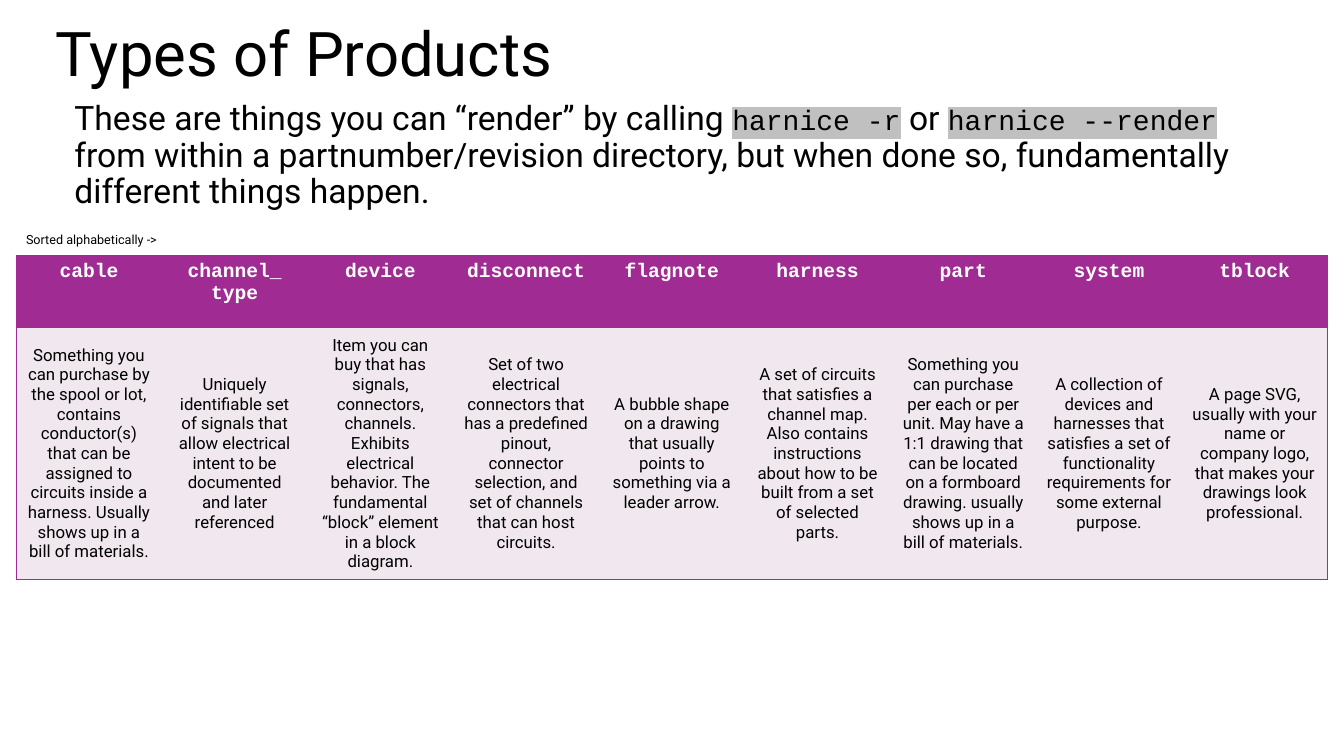
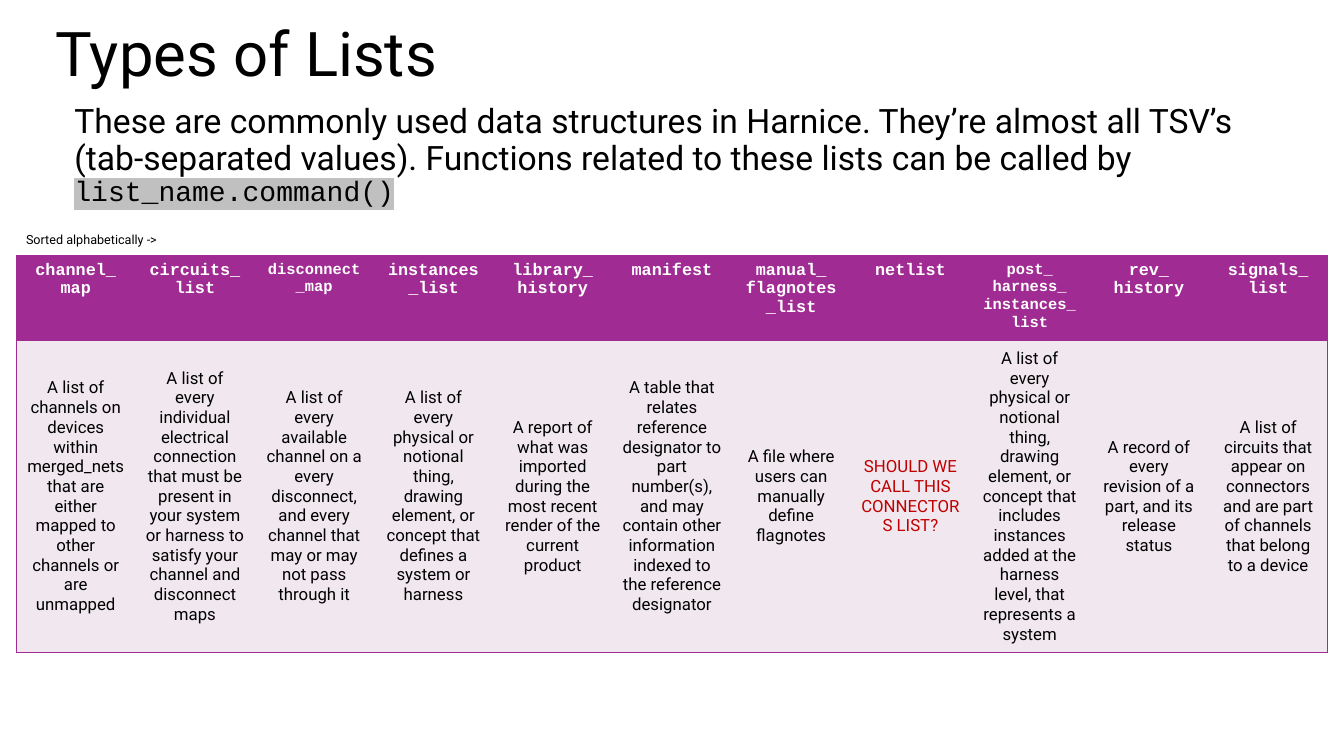
from dataclasses import dataclass

from pptx import Presentation
from pptx import util as u
from pptx.dml.color import RGBColor
from pptx.enum import text
from pptx.oxml import parse_xml
from pptx.oxml.ns import nsdecls


@dataclass(frozen=True)
class Theme:
    ink: str = "000000"
    white: str = "FFFFFF"
    accent: str = "A02B93"
    tint: str = "F0E8EE"
    alert: str = "C00000"
    code_back: str = "C0C0C0"
    sans: str = "Roboto"
    mono: str = "Courier New"
    title: int = 44
    intro: int = 24
    code: int = 20
    body: int = 12
    label: int = 9
    plain_table: str = "{2D5ABB26-0587-4C30-8999-92F81FD0307C}"


theme = Theme()


def style(span, size, name=theme.sans, color=theme.ink, bold=False):
    span.font.size = u.Pt(size)
    span.font.name = name
    span.font.bold = bold
    span.font.color.rgb = RGBColor.from_string(color)


def add_text(page, left, top, width, height, content, size, spacing=None, wrap=True):
    box = page.shapes.add_textbox(*map(u.Inches, (left, top, width, height)))
    frame = box.text_frame
    frame.word_wrap = wrap
    frame.vertical_anchor = text.MSO_ANCHOR.MIDDLE if wrap else text.MSO_ANCHOR.TOP
    para = frame.paragraphs[0]
    para.line_spacing = spacing
    for index, part in enumerate(content.split("`")):
        if not part:
            continue
        span = para.add_run()
        span.text = part
        if index % 2 == 0:
            style(span, size)
            continue
        style(span, theme.code, theme.mono)
        fill = span.font._element.find("{*}solidFill")
        fill.addnext(parse_xml(
            f'<a:highlight {nsdecls("a")}><a:srgbClr val="{theme.code_back}"/></a:highlight>'))


slides = [
    {
        "title": "Types of Products",
        "intro": "These are things you can “render” by calling `harnice -r` or "
                 "`harnice --render `from within a partnumber/revision directory, "
                 "but when done so, fundamentally different things happen.",
        "rows": (0.71, 2.35),
        "head": 14,
        "small": (),
        "alert": (),
        "columns": [
            ("cable", "Something you can purchase by the spool or lot, contains conductor(s) "
                      "that can be assigned to circuits inside a harness. Usually shows up "
                      "in a bill of materials."),
            ("channel_\ntype", "Uniquely identifiable set of signals that allow electrical "
                               "intent to be documented and later referenced"),
            ("device", "Item you can buy that has signals, connectors, channels. Exhibits "
                       "electrical behavior. The fundamental “block” element in a block diagram."),
            ("disconnect", "Set of two electrical connectors that has a predefined pinout, "
                           "connector selection, and set of channels that can host circuits."),
            ("flagnote", "A bubble shape on a drawing that usually points to something via "
                         "a leader arrow."),
            ("harness", "A set of circuits that satisfies a channel map. Also contains "
                        "instructions about how to be built from a set of selected parts."),
            ("part", "Something you can purchase per each or per unit. May have a 1:1 drawing "
                     "that can be located on a formboard drawing. usually shows up in a bill "
                     "of materials."),
            ("system", "A collection of devices and harnesses that satisfies a set of "
                       "functionality requirements for some external purpose."),
            ("tblock", "A page SVG, usually with your name or company logo, that makes your "
                       "drawings look professional."),
        ],
    },
    {
        "title": "Types of Lists",
        "intro": "These are commonly used data structures in Harnice. They’re almost all TSV’s "
                 "(tab-separated values). Functions related to these lists can be called by "
                 "`list_name.command()`",
        "rows": (0.8, 2.93),
        "head": 12,
        "small": (2, 8),
        "alert": (7,),
        "columns": [
            ("channel_\nmap", "A list of channels on devices within merged_nets that are either "
                              "mapped to other channels or are unmapped"),
            ("circuits_list", "A list of every individual electrical connection that must be "
                              "present in your system or harness to satisfy your channel and "
                              "disconnect maps"),
            ("disconnect\n_map", "A list of every available channel on a every disconnect, and "
                                 "every channel that may or may not pass through it"),
            ("instances_list", "A list of every physical or notional thing, drawing element, or "
                               "concept that defines a system or harness"),
            ("library_\nhistory", "A report of what was imported during the most recent render "
                                  "of the current product"),
            ("manifest", "A table that relates reference designator to part number(s), and may "
                         "contain other information indexed to the reference designator"),
            ("manual_\nflagnotes_list", "A file where users can manually define flagnotes"),
            ("netlist", "SHOULD WE CALL THIS CONNECTORS LIST?"),
            ("post_\nharness_\ninstances_list",
             "A list of every physical or notional thing, drawing element, or concept that "
             "includes instances added at the harness level, that represents a system"),
            ("rev_\nhistory", "A record of every revision of a part, and its release status"),
            ("signals_\nlist", "A list of circuits that appear on connectors and are part of "
                               "channels that belong to a device"),
        ],
    },
]

deck = Presentation()
deck.slide_width, deck.slide_height = u.Inches(13.33), u.Inches(7.5)

for content in slides:
    page = deck.slides.add_slide(deck.slide_layouts[6])
    add_text(page, 0.45, 0.09, 11.5, 0.95, content["title"], theme.title, 0.9)

    columns = content["columns"]
    last = len(columns) - 1
    heights = content["rows"]
    frame = page.shapes.add_table(
        2, len(columns), u.Inches(0.16), u.Inches(2.54), u.Inches(13.01), u.Inches(sum(heights)))
    table = frame.table
    table.first_row = table.horz_banding = False
    table._tbl.tblPr.find("{*}tableStyleId").text = theme.plain_table
    for row, height in zip(table.rows, heights):
        row.height = u.Inches(height)

    for column, entries in enumerate(columns):
        head_size = content["head"] - (column in content["small"])
        body_color = theme.alert if column in content["alert"] else theme.ink
        looks = [
            (theme.accent, text.MSO_ANCHOR.TOP, (head_size, theme.mono, theme.white, True)),
            (theme.tint, text.MSO_ANCHOR.MIDDLE, (theme.body, theme.sans, body_color)),
        ]
        for row, (entry, (back, anchor, font)) in enumerate(zip(entries, looks)):
            cell = table.cell(row, column)
            cell.text = entry
            cell.vertical_anchor = anchor
            sides = "L" * (column == 0) + "R" * (column == last) + "TB"
            for side in sides:
                cell._tc.get_or_add_tcPr().append(parse_xml(
                    f'<a:ln{side} {nsdecls("a")} w="12700"><a:solidFill>'
                    f'<a:srgbClr val="{theme.accent}"/></a:solidFill></a:ln{side}>'))
            cell.fill.solid()
            cell.fill.fore_color.rgb = RGBColor.from_string(back)
            for para in cell.text_frame.paragraphs:
                para.alignment = text.PP_ALIGN.CENTER
                style(para.runs[0], *font)

    add_text(page, 0.64, 0.92, 12, 1.26, content["intro"], theme.intro, 0.9)
    add_text(page, 0.16, 2.25, 1.5, 0.25, "Sorted alphabetically ->", theme.label, wrap=False)

deck.save("out.pptx")
